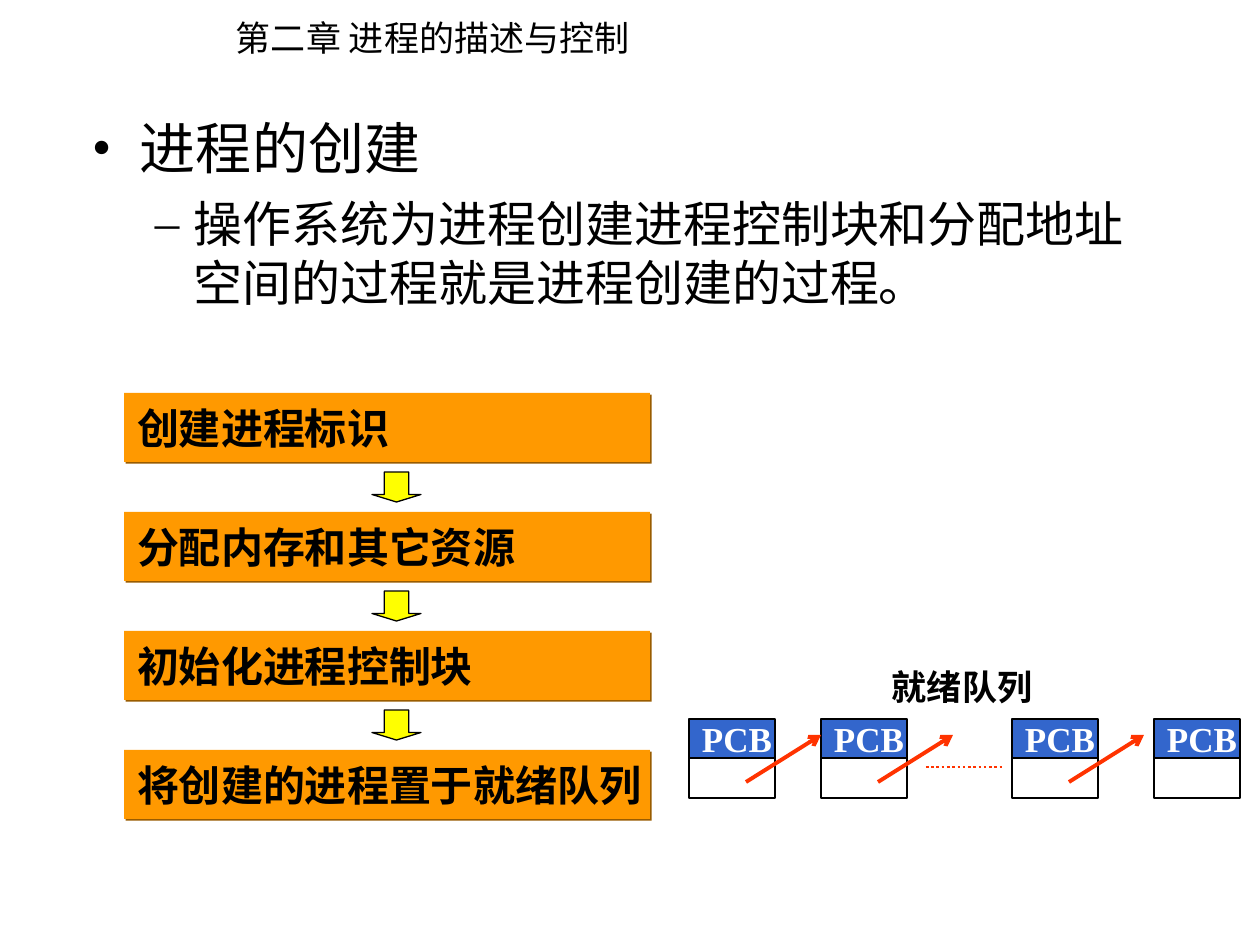
from dataclasses import dataclass

from lxml.etree import SubElement
from pptx import Presentation
from pptx.dml.color import RGBColor
from pptx.enum.dml import MSO_LINE
from pptx.enum.shapes import MSO_CONNECTOR, MSO_SHAPE
from pptx.enum.text import MSO_ANCHOR, MSO_AUTO_SIZE, PP_ALIGN
from pptx.oxml.ns import qn
from pptx.util import Pt

EMU_PER_PX = 914400 / 126
SERIF, HAN = "Times New Roman", "Noto Sans CJK SC"
COLORS = {
    "text": "000000", "inverse": "FFFFFF", "step": "FF9900",
    "step_shadow": "995C00", "flow": "FFFF00", "pcb": "3366CC",
    "paper": "FFFFFF", "outline": "000000", "link": "FF3300",
}


@dataclass(frozen=True)
class Box:
    left: int
    top: int
    width: int
    height: int

    def emu(self) -> list[int]:
        return [px(n) for n in (self.left, self.top, self.width, self.height)]


@dataclass(frozen=True)
class Bullet:
    text: str
    char: str
    size: int
    margin: int
    hanging: int
    level: int = 0
    before: int = 0


STEPS = ["创建进程标识", "分配内存和其它资源", "初始化进程控制块", "将创建的进程置于就绪队列"]
STEP_TOP, STEP_PITCH = 393, 119
BULLETS = [
    Bullet("进程的创建", "•", 32, 48, 48),
    Bullet("操作系统为进程创建进程控制块和分配地址空间的过程就是进程创建的过程。",
           "–", 28, 102, 39, level=1, before=7),
]
PCB_LEFTS = [689, 821, 1012, 1154]
PCB_TOP, PCB_WIDTH, PCB_HALF = 719, 86, 39


def px(length: int) -> int:
    return round(length * EMU_PER_PX)


def color(name: str) -> RGBColor:
    return RGBColor.from_string(COLORS[name])


def write(paragraph, text: str, size: int, ink: str = "text",
          bold: bool = False, face: str = SERIF) -> None:
    run = paragraph.add_run()
    run.text = text
    for key, value in {"size": Pt(size), "bold": bold, "name": face}.items():
        setattr(run.font, key, value)
    run.font.color.rgb = color(ink)
    east_asian = SubElement(run._r.rPr, qn("a:ea"), typeface=HAN)
    run._r.rPr.find(qn("a:latin")).addnext(east_asian)


def format_frame(frame, anchor=MSO_ANCHOR.TOP, wrap: bool = False) -> None:
    settings = {
        "auto_size": MSO_AUTO_SIZE.NONE, "word_wrap": wrap, "vertical_anchor": anchor,
        "margin_left": px(13), "margin_right": px(13),
        "margin_top": px(6), "margin_bottom": px(6),
    }
    for key, value in settings.items():
        setattr(frame, key, value)
    frame.paragraphs[0].alignment = PP_ALIGN.LEFT


def add_block(slide, box: Box, fill: str, line_width: float = 0,
              kind=MSO_SHAPE.RECTANGLE):
    block = slide.shapes.add_shape(kind, *box.emu())
    block.shadow.inherit = False
    block.fill.solid()
    block.fill.fore_color.rgb = color(fill)
    if line_width:
        block.line.color.rgb = color("outline")
        block.line.width = Pt(line_width)
    else:
        block.line.fill.background()
    return block


def label_block(block, text: str, size: int, ink: str) -> None:
    format_frame(block.text_frame, MSO_ANCHOR.MIDDLE)
    write(block.text_frame.paragraphs[0], text, size, ink, bold=True)


def add_step_shadow(block) -> None:
    effects = block._element.spPr.find(qn("a:effectLst"))
    shadow = SubElement(effects, qn("a:outerShdw"), dist="17780", dir="2700000",
                        algn="ctr", rotWithShape="0")
    SubElement(shadow, qn("a:srgbClr"), val=COLORS["step_shadow"])


def add_link(slide, start: tuple[int, int], end: tuple[int, int], width: float):
    link = slide.shapes.add_connector(
        MSO_CONNECTOR.STRAIGHT, *(px(n) for n in (*start, *end)))
    link.line.color.rgb = color("link")
    link.line.width = Pt(width)
    SubElement(link._element.spPr, qn("a:effectLst"))
    return link


def add_pointer(slide, pcb_left: int) -> None:
    """Draw the arrow from a PCB's lower half towards the next PCB."""
    pointer = add_link(slide, (pcb_left + 57, 782), (pcb_left + 132, 735), 2.25)
    SubElement(pointer.line._get_or_add_ln(), qn("a:tailEnd"), type="arrow")


def add_header(slide) -> None:
    header = slide.shapes.title
    for key, value in zip(("left", "top", "width", "height"),
                          Box(223, 10, 426, 55).emu()):
        setattr(header, key, value)
    format_frame(header.text_frame)
    write(header.text_frame.paragraphs[0], "第二章 进程的描述与控制", 20, face=HAN)


def add_bullets(slide) -> None:
    frame = slide.shapes.add_textbox(*Box(79, 108, 1071, 567).emu()).text_frame
    format_frame(frame, wrap=True)
    for index, bullet in enumerate(BULLETS):
        paragraph = frame.add_paragraph() if index else frame.paragraphs[0]
        paragraph.level = bullet.level
        if bullet.before:
            paragraph.space_before = Pt(bullet.before)
        properties = paragraph._p.get_or_add_pPr()
        properties.set("marL", str(px(bullet.margin)))
        properties.set("indent", str(-px(bullet.hanging)))
        SubElement(properties, qn("a:buFont"), typeface=SERIF)
        SubElement(properties, qn("a:buChar"), char=bullet.char)
        write(paragraph, bullet.text, bullet.size)


def add_steps(slide) -> None:
    for index, step in enumerate(STEPS):
        top = STEP_TOP + index * STEP_PITCH
        block = add_block(slide, Box(124, top, 526, 69), "step")
        add_step_shadow(block)
        label_block(block, step, 24, "text")
        if index < len(STEPS) - 1:
            arrow = add_block(slide, Box(372, top + 79, 49, 30), "flow", 0.75,
                              MSO_SHAPE.DOWN_ARROW)
            arrow.adjustments[0], arrow.adjustments[1] = 0.5, 0.25


def add_ready_queue(slide) -> None:
    for left in PCB_LEFTS:
        head = add_block(slide, Box(left, PCB_TOP, PCB_WIDTH, PCB_HALF), "pcb", 1.5)
        label_block(head, "PCB", 20, "inverse")
        add_block(slide, Box(left, PCB_TOP + PCB_HALF, PCB_WIDTH, PCB_HALF + 1),
                  "paper", 1.5)
    for left in PCB_LEFTS[:-1]:
        add_pointer(slide, left)
    gap = add_link(slide, (926, 767), (1002, 767), 1.5)
    gap.line.dash_style = MSO_LINE.ROUND_DOT
    caption = slide.shapes.add_textbox(*Box(879, 659, 165, 55).emu()).text_frame
    format_frame(caption)
    write(caption.paragraphs[0], "就绪队列", 20, bold=True)


def main() -> None:
    deck = Presentation()
    deck.slide_width, deck.slide_height = px(1260), px(945)
    slide = deck.slides.add_slide(deck.slide_layouts[5])
    add_header(slide)
    add_bullets(slide)
    add_steps(slide)
    add_ready_queue(slide)
    deck.save("out.pptx")


if __name__ == "__main__":
    main()
